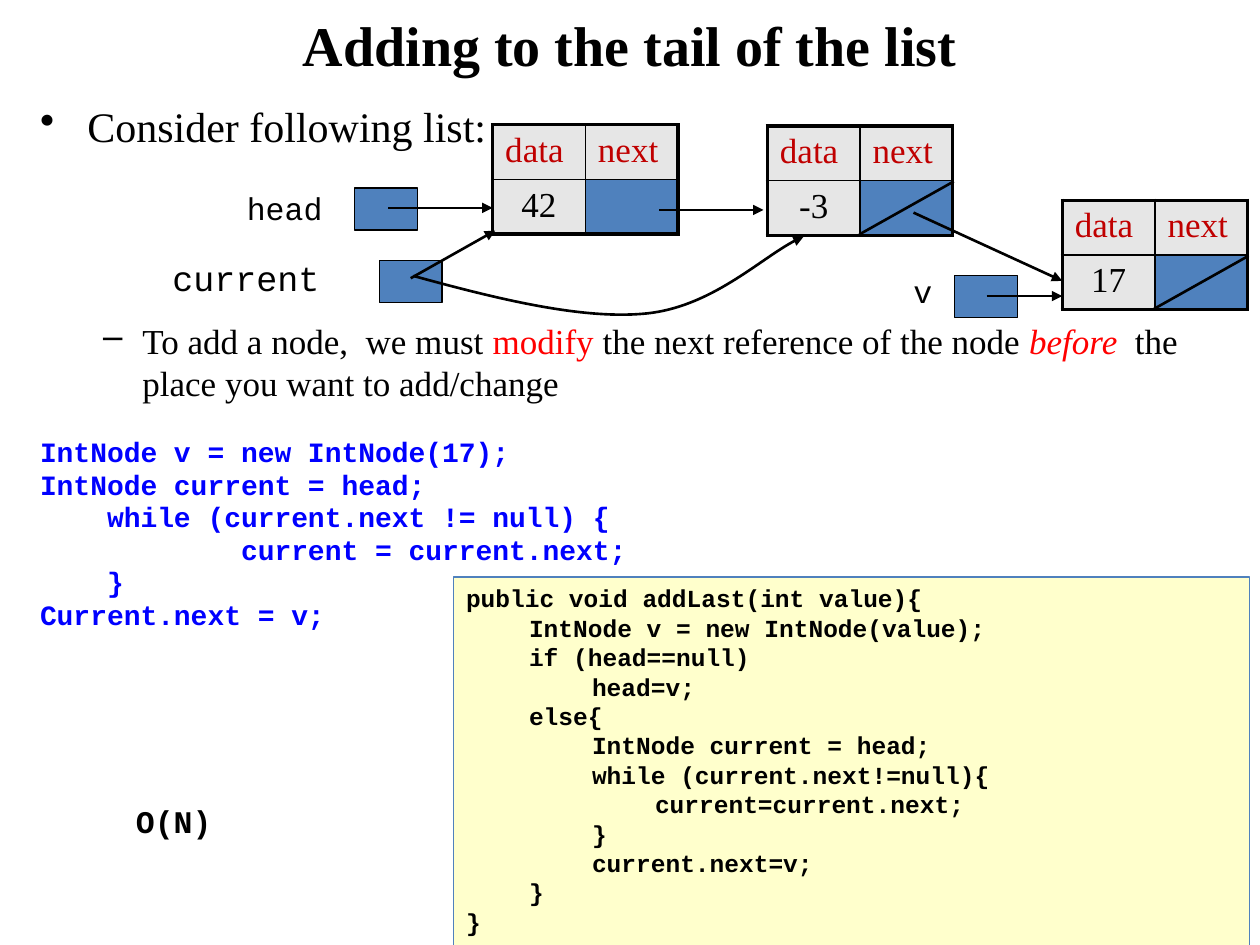
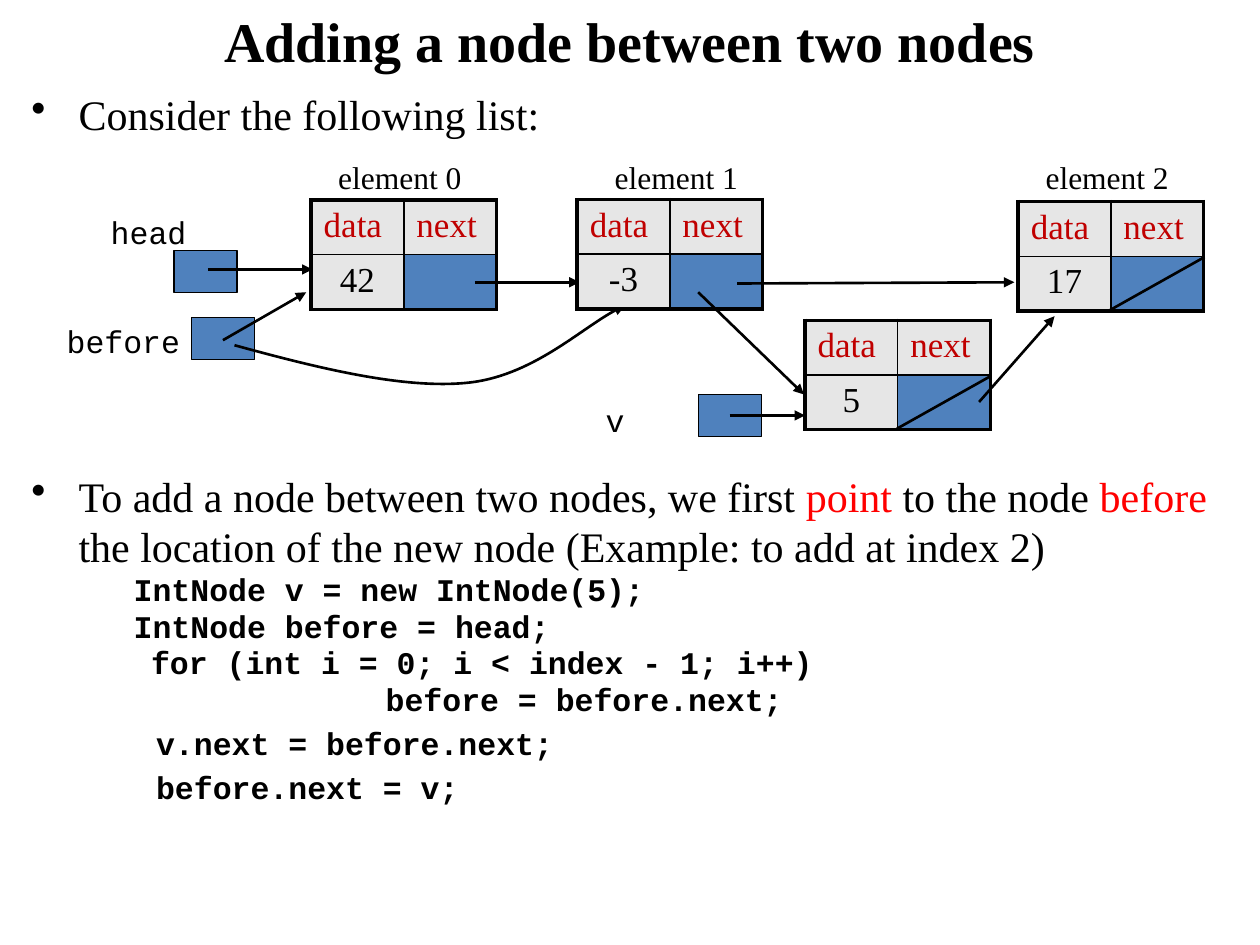
from lxml.etree import SubElement
from pptx import Presentation
from pptx.dml.color import RGBColor
from pptx.enum.shapes import MSO_CONNECTOR as Connector, MSO_SHAPE as Shape
from pptx.enum.text import MSO_ANCHOR as Anchor, MSO_AUTO_SIZE as AutoSize, PP_ALIGN as Align
from pptx.oxml.ns import qn
from pptx.util import Pt

SERIF, MONO = "Times New Roman", "Courier New"
COLORS = {
    "black": "000000", "red": "FF0000", "field": "C00000", "code": "0000FF",
    "cell": "E6E6E6", "pointer": "4F81BD", "note": "FFFFCC",
}
THICK, THIN = 2.25, 1
NODE_COLUMNS, NODE_ROW = (53, 53), 31
SLASH = (106.5, 31.7, 52.5, 62)  # corners of the "next" cell, from the node's corner
SWEEP = ((47.5, 13), (96, 25), (132.5, 21.5), (170, 18), (203, -14.5), (223, -22.5))


def color(name):
    return RGBColor.from_string(COLORS[name])


def points(*values):
    return [Pt(value) for value in values]


def add_run(paragraph, text, size, font=SERIF, fill="black", bold=False, italic=False):
    run = paragraph.add_run()
    run.text = text
    run.font.name = font
    run.font.size = Pt(size)
    run.font.bold = bold
    run.font.italic = italic
    run.font.color.rgb = color(fill)


def next_paragraph(frame, before=0, spacing=None, left=0, hanging=0, bullet=None):
    """Start a paragraph, using the frame's empty first one if it is free."""
    first = frame.paragraphs[0]
    paragraph = frame.add_paragraph() if first.runs else first
    properties = paragraph._p.get_or_add_pPr()
    properties.set("marL", str(Pt(left)))
    properties.set("indent", str(-Pt(hanging)))
    if bullet:
        SubElement(properties, qn("a:buChar")).set("char", bullet)
    paragraph.alignment = Align.LEFT
    if before:
        paragraph.space_before = Pt(before)
    if spacing:
        paragraph.line_spacing = spacing
    return paragraph


def add_slide(presentation, title, title_height):
    slide = presentation.slides.add_slide(presentation.slide_layouts[5])
    shape = slide.shapes.title
    shape.left, shape.top, shape.width, shape.height = points(0, 0, 720, title_height)
    frame = shape.text_frame
    frame.auto_size = AutoSize.NONE
    frame.vertical_anchor = Anchor.MIDDLE
    frame.paragraphs[0].alignment = Align.CENTER
    add_run(frame.paragraphs[0], title, 32, bold=True)
    return slide


def add_text_box(slide, left, top, width, height):
    frame = slide.shapes.add_textbox(*points(left, top, width, height)).text_frame
    frame.word_wrap = True
    return frame


def add_label(slide, text, left, top, width=78, size=18, font=MONO, bold=False):
    frame = add_text_box(slide, left, top, width, 29)
    add_run(frame.paragraphs[0], text, size, font, bold=bold)


def add_bullet(frame, pieces, before=0):
    """Add a bullet; pieces alternate black text and red text."""
    paragraph = next_paragraph(frame, before, left=27, hanging=27, bullet="•")
    for index, piece in enumerate(pieces):
        add_run(paragraph, piece, 24, fill="red" if index % 2 else "black")


def add_code_line(frame, text, size, fill="black", **layout):
    add_run(next_paragraph(frame, **layout), text, size, MONO, fill, bold=True)


def add_rectangle(slide, left, top, width, height, fill, line):
    shape = slide.shapes.add_shape(Shape.RECTANGLE, *points(left, top, width, height))
    shape.shadow.inherit = False
    shape.fill.solid()
    shape.fill.fore_color.rgb = color(fill)
    shape.line.color.rgb = color(line)
    shape.line.width = Pt(0.75)
    return shape


def add_pointer(slide, left, top):
    add_rectangle(slide, left, top, 36, 24, "pointer", "black")


def style_stroke(shape, arrow):
    shape.line.color.rgb = color("black")
    shape.line.width = Pt(1.5)
    if arrow:
        line = shape.element.spPr.get_or_add_ln()
        SubElement(line, qn("a:tailEnd")).set("type", "triangle")


def add_line(slide, x1, y1, x2, y2, arrow=True):
    connector = slide.shapes.add_connector(Connector.STRAIGHT, *points(x1, y1, x2, y2))
    style_stroke(connector, arrow)
    SubElement(connector.element.spPr, qn("a:effectLst"))


def add_sweep(slide, x, y):
    """Draw the curved arrow that moves a pointer on to the next node."""
    builder = slide.shapes.build_freeform(Pt(x), Pt(y))
    builder.add_line_segments([points(x + dx, y + dy) for dx, dy in SWEEP], close=False)
    shape = builder.convert_to_shape()
    path = shape.element.spPr.find(".//" + qn("a:path"))
    segments = path.findall(qn("a:lnTo"))
    for start in range(0, len(segments), 3):
        curve = SubElement(path, qn("a:cubicBezTo"))
        for segment in segments[start:start + 3]:
            curve.append(segment[0])
            path.remove(segment)
    shape.fill.background()
    shape.shadow.inherit = False
    style_stroke(shape, True)


def set_borders(cell, row, column):
    """Outer edges are thick, inner edges thin."""
    outer = {"L": column == 0, "R": column == 1, "T": row == 0, "B": row == 1}
    properties = cell._tc.get_or_add_tcPr()
    for side, is_outer in outer.items():
        line = SubElement(properties, qn("a:ln" + side))
        line.set("w", str(Pt(THICK if is_outer else THIN)))
        fill = SubElement(line, qn("a:solidFill"))
        SubElement(fill, qn("a:srgbClr")).set("val", COLORS["black"])


def add_node(slide, value, left, top, null=False):
    """Draw a list node; a null next reference is crossed by a slash."""
    frame = slide.shapes.add_table(
        2, 2, *points(left, top, sum(NODE_COLUMNS), 2 * NODE_ROW))
    table = frame.table
    table.first_row = table.horz_banding = False
    for column, width in zip(table.columns, NODE_COLUMNS):
        column.width = Pt(width)
    for row in table.rows:
        row.height = Pt(NODE_ROW)
    for row, texts in enumerate((("data", "next"), (value, None))):
        for column, text in enumerate(texts):
            cell = table.cell(row, column)
            set_borders(cell, row, column)
            cell.fill.solid()
            cell.fill.fore_color.rgb = color("cell" if text else "pointer")
            if text:
                paragraph = cell.text_frame.paragraphs[0]
                paragraph.alignment = Align.CENTER if row else Align.LEFT
                add_run(paragraph, text, 20, fill="black" if row else "field")
    if null:
        x1, y1, x2, y2 = SLASH
        add_line(slide, left + x1, top + y1, left + x2, top + y2, arrow=False)


def add_method(slide, lines, left, top, width, height):
    frame = add_rectangle(slide, left, top, width, height, "note", "pointer").text_frame
    frame.word_wrap = True
    frame.vertical_anchor = Anchor.TOP
    for line in lines:
        add_code_line(frame, line, 14)


def build_tail_slide(presentation):
    slide = add_slide(presentation, "Adding to the tail of the list", 50.4)
    add_pointer(slide, 216.7, 149)

    body = add_text_box(slide, 15.8, 54, 692.6, 437.8)
    add_bullet(body, ["Consider following list:"])
    advice = next_paragraph(body, before=96, left=58.5, hanging=22.5, bullet="–")
    add_run(advice, "To add a node,  we must ", 20)
    add_run(advice, "modify", 20, fill="red")
    add_run(advice, " the next reference of the node ", 20)
    add_run(advice, "before  ", 20, fill="red", italic=True)
    add_run(advice, "the place you want to add/change", 20)
    code = [
        "IntNode v = new IntNode(17);",
        "IntNode current = head;",
        "    while (current.next != null) {",
        "            current = current.next;",
        "    }",
        "Current.next = v;",
    ]
    for index, line in enumerate(code):
        add_code_line(body, line, 16, "code", before=3.2 if index else 21.8, spacing=0.8)

    add_node(slide, "42", 281.5, 71.3)
    add_node(slide, "-3", 438.5, 72, null=True)
    add_node(slide, "17", 607, 114.5, null=True)
    add_line(slide, 376.6, 120, 436.3, 120)
    add_pointer(slide, 202.7, 107.5)
    add_label(slide, "head", 134, 104.4)
    add_line(slide, 221.8, 118.8, 281.5, 118.8)
    add_label(slide, "current", 91.4, 143.3, 114.5, 20)
    add_line(slide, 234.7, 159, 283, 131.8)
    add_sweep(slide, 236.2, 157.7)
    add_pointer(slide, 545.5, 157.5)
    add_line(slide, 563.8, 169.2, 607, 169.2)
    add_label(slide, "v", 514.8, 152, 43)
    add_line(slide, 522, 121.5, 607, 160.5)
    add_method(slide, [
        "public void addLast(int value){",
        "\tIntNode v = new IntNode(value);",
        "\tif (head==null)",
        "\t\thead=v;",
        "\telse{",
        "\t\tIntNode current = head;",
        "\t\twhile (current.next!=null){",
        "\t\t\tcurrent=current.next;",
        "\t\t}",
        "\t\tcurrent.next=v;",
        "\t}",
        "}",
    ], 259.2, 329.8, 455, 211)
    add_label(slide, "O(N)", 70.6, 455, bold=True)


def build_between_slide(presentation):
    slide = add_slide(presentation, "Adding a node between two nodes", 46)
    add_pointer(slide, 109.4, 181.6)

    body = add_text_box(slide, 10.8, 46.8, 711.4, 444.2)
    add_bullet(body, ["Consider the following list:"])
    add_bullet(body, [
        "To add a node between two nodes, we first ", "point", " to the node ", "before",
        " the location of the new node (Example: to add at index 2)",
    ], before=189.6)
    code = [
        ("IntNode v = new IntNode(5);", 58.5, 0.8),
        ("IntNode before = head;", 58.5, 0.8),
        ("for (int i = 0; i < index - 1; i++)", 68.4, 0.8),
        ("before = before.next;", 202.5, 0.8),
        ("v.next = before.next;", 71.3, 1),
        ("before.next = v;", 71.3, 1),
    ]
    for line, left, spacing in code:
        add_code_line(body, line, 18, before=3.6, left=left, spacing=spacing)

    add_node(slide, "5", 460, 183, null=True)
    add_label(slide, "before", 31, 180.7, 108)
    add_line(slide, 127.4, 194.4, 175, 167)
    add_sweep(slide, 134, 197.3)
    add_pointer(slide, 399, 225.4)
    add_line(slide, 417, 237.4, 460, 237.4)
    add_label(slide, "v", 339, 225.4)
    add_line(slide, 559.5, 229.7, 602.6, 180.7)
    add_node(slide, "42", 177.8, 114.3)
    add_line(slide, 271.4, 161.3, 331.2, 161.3)
    add_node(slide, "-3", 329.8, 114)
    add_line(slide, 421.2, 162, 579.6, 161.3)
    add_node(slide, "17", 581.8, 115.2, null=True)
    add_pointer(slide, 99.4, 143.3)
    add_label(slide, "head", 56.2, 118)
    add_line(slide, 118.8, 154, 178.6, 154)
    add_line(slide, 399, 167, 459.4, 225.4)
    for index, left in enumerate((186.2, 344.2, 590.4)):
        add_label(slide, f"element {index}", left, 87, 92, font=SERIF)


def main():
    presentation = Presentation()
    presentation.slide_width, presentation.slide_height = points(720, 540)
    build_tail_slide(presentation)
    build_between_slide(presentation)
    presentation.save("out.pptx")


if __name__ == "__main__":
    main()
